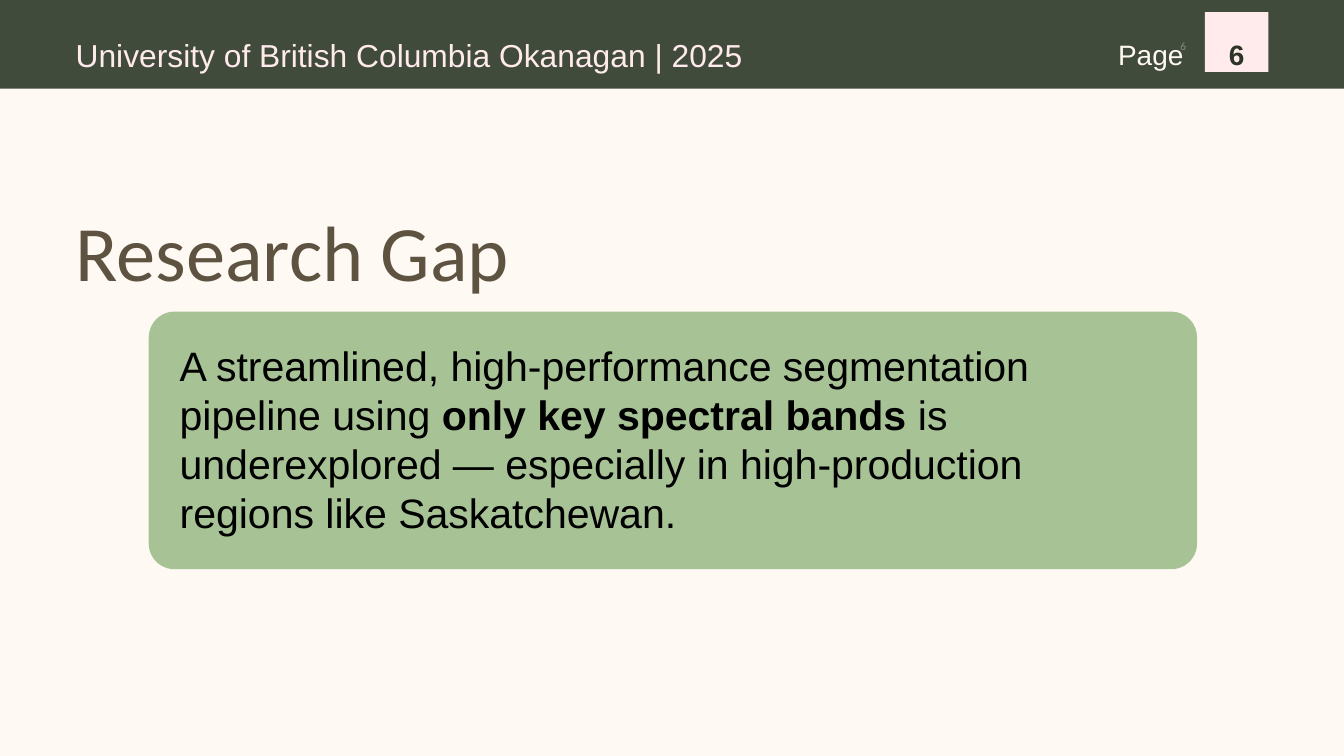
"""Build the Research Gap slide with its page header and statement panel."""
from dataclasses import dataclass

from pptx import Presentation
from pptx.dml.color import RGBColor
from pptx.enum.shapes import MSO_SHAPE
from pptx.enum.text import MSO_ANCHOR, PP_ALIGN
from pptx.shapes.autoshape import Shape
from pptx.slide import Slide
from pptx.util import Pt

RECTANGLE = MSO_SHAPE.RECTANGLE
ROUNDED = MSO_SHAPE.ROUNDED_RECTANGLE
TOP, MIDDLE = MSO_ANCHOR.TOP, MSO_ANCHOR.MIDDLE
LEFT, CENTER, RIGHT = PP_ALIGN.LEFT, PP_ALIGN.CENTER, PP_ALIGN.RIGHT

CREAM = RGBColor(0xFF, 0xF9, 0xF3)
PINK = RGBColor(0xFF, 0xEB, 0xEB)
FOREST = RGBColor(0x41, 0x4B, 0x3B)
DARK_GREEN = RGBColor(0x2B, 0x34, 0x25)
SAGE = RGBColor(0xA7, 0xC3, 0x96)
BROWN = RGBColor(0x5D, 0x53, 0x40)
GRAY = RGBColor(0x88, 0x88, 0x88)
BLACK = RGBColor(0x00, 0x00, 0x00)

SLIDE_WIDTH, SLIDE_HEIGHT = 720, 405
PAGE_NUMBER = "6"


@dataclass(frozen=True)
class Box:
    left: float
    top: float
    width: float
    height: float


@dataclass(frozen=True)
class Panel:
    box: Box
    fill: RGBColor
    preset: MSO_SHAPE = RECTANGLE


@dataclass(frozen=True)
class Label:
    box: Box
    runs: tuple[str, ...]
    size: float
    color: RGBColor
    font: str = "Arial"
    bold: bool = False
    align: PP_ALIGN = LEFT
    anchor: MSO_ANCHOR = TOP
    line_spacing: float = 1.4
    inset_x: float = 0
    inset_y: float = 0
    bold_run: int | None = None


PANELS = (
    Panel(Box(0, 0, SLIDE_WIDTH, 47.5), FOREST),
    Panel(Box(645.5, 6.5, 34, 32), PINK),
    Panel(Box(79.7, 167, 561.6, 138), SAGE, ROUNDED),
)

STATEMENT = (
    "A streamlined, high-performance segmentation pipeline using ",
    "only key spectral bands",
    " is underexplored — especially in high-production regions like Saskatchewan.",
)

LABELS = (
    Label(Box(40.5, 88.5, 390, 51), ("Research Gap",), 42, BROWN, "Calibri"),
    Label(Box(599, 13, 46, 18), ("Page",), 15, CREAM),
    Label(Box(648.5, 13, 28, 18), (PAGE_NUMBER,), 15, DARK_GREEN, bold=True, align=CENTER),
    Label(Box(40.5, 11, 430, 21), ("University of British Columbia Okanagan | 2025",), 17, PINK),
    Label(Box(89.2, 175, 540, 121), STATEMENT, 22, BLACK, line_spacing=1,
          inset_x=7.2, inset_y=7.2, bold_run=1),
    Label(Box(555, 17.5, 84, 14.5), (PAGE_NUMBER,), 6, GRAY, "Calibri", align=RIGHT,
          anchor=MIDDLE, line_spacing=1, inset_x=3.6, inset_y=1.8),
)


def place(box: Box) -> tuple[Pt, Pt, Pt, Pt]:
    """Return the box as left, top, width and height lengths."""
    return Pt(box.left), Pt(box.top), Pt(box.width), Pt(box.height)


def draw_panel(slide: Slide, panel: Panel) -> Shape:
    """Draw a flat filled panel."""
    shape = slide.shapes.add_shape(panel.preset, *place(panel.box))
    shape.shadow.inherit = False
    shape.fill.solid()
    shape.fill.fore_color.rgb = panel.fill
    shape.line.fill.background()
    if panel.preset == ROUNDED:
        shape.adjustments[0] = 0.1
    return shape


def draw_label(slide: Slide, label: Label) -> Shape:
    """Draw a one-paragraph text box."""
    text_box = slide.shapes.add_textbox(*place(label.box))
    frame = text_box.text_frame
    frame.word_wrap = True
    frame.vertical_anchor = label.anchor
    frame.margin_left = frame.margin_right = Pt(label.inset_x)
    frame.margin_top = frame.margin_bottom = Pt(label.inset_y)
    paragraph = frame.paragraphs[0]
    paragraph.alignment = label.align
    paragraph.line_spacing = label.line_spacing
    paragraph.font.name = label.font
    paragraph.font.size = Pt(label.size)
    paragraph.font.bold = label.bold
    paragraph.font.color.rgb = label.color
    for index, text in enumerate(label.runs):
        run = paragraph.add_run()
        run.text = text
        if index == label.bold_run:
            run.font.bold = True
    return text_box


def main() -> None:
    """Build and save the slide."""
    presentation = Presentation()
    presentation.slide_width = Pt(SLIDE_WIDTH)
    presentation.slide_height = Pt(SLIDE_HEIGHT)
    slide = presentation.slides.add_slide(presentation.slide_layouts[6])
    slide.background.fill.solid()
    slide.background.fill.fore_color.rgb = CREAM
    for panel in PANELS:
        draw_panel(slide, panel)
    for label in LABELS:
        draw_label(slide, label)
    presentation.save("out.pptx")


if __name__ == "__main__":
    main()
